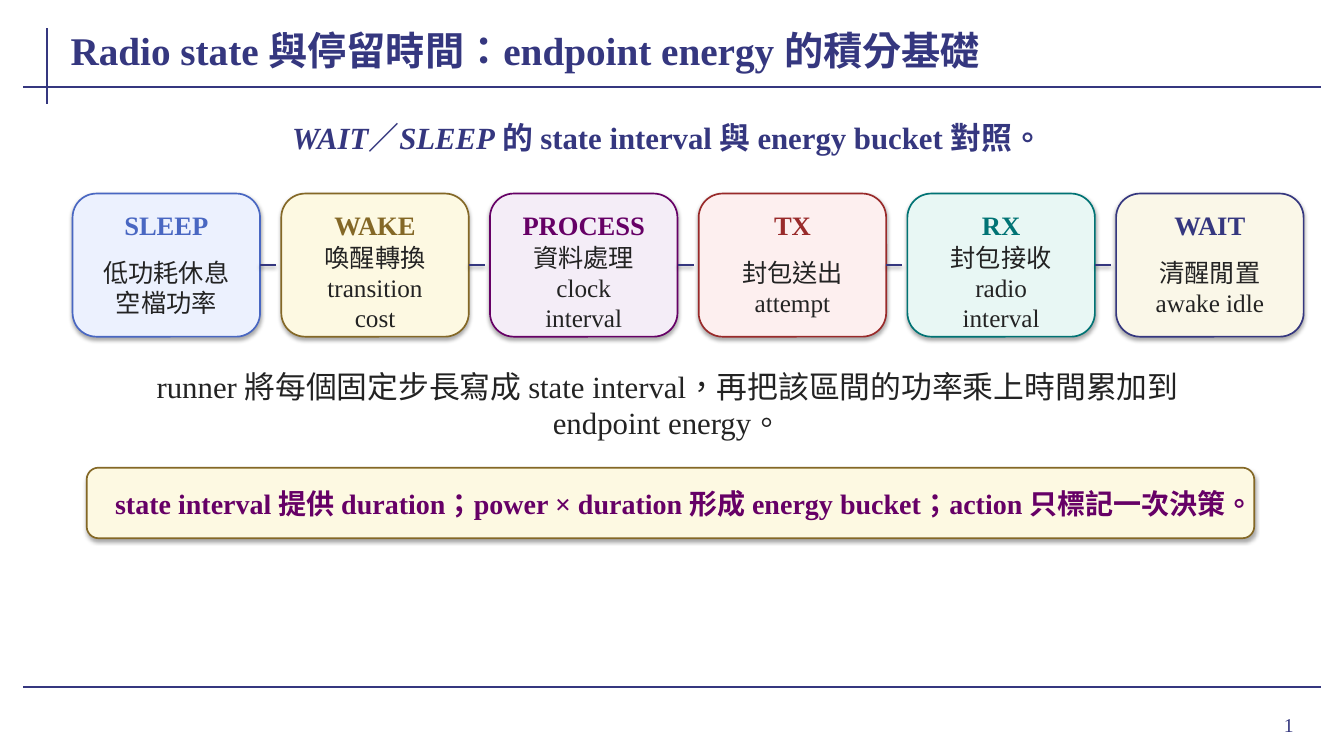
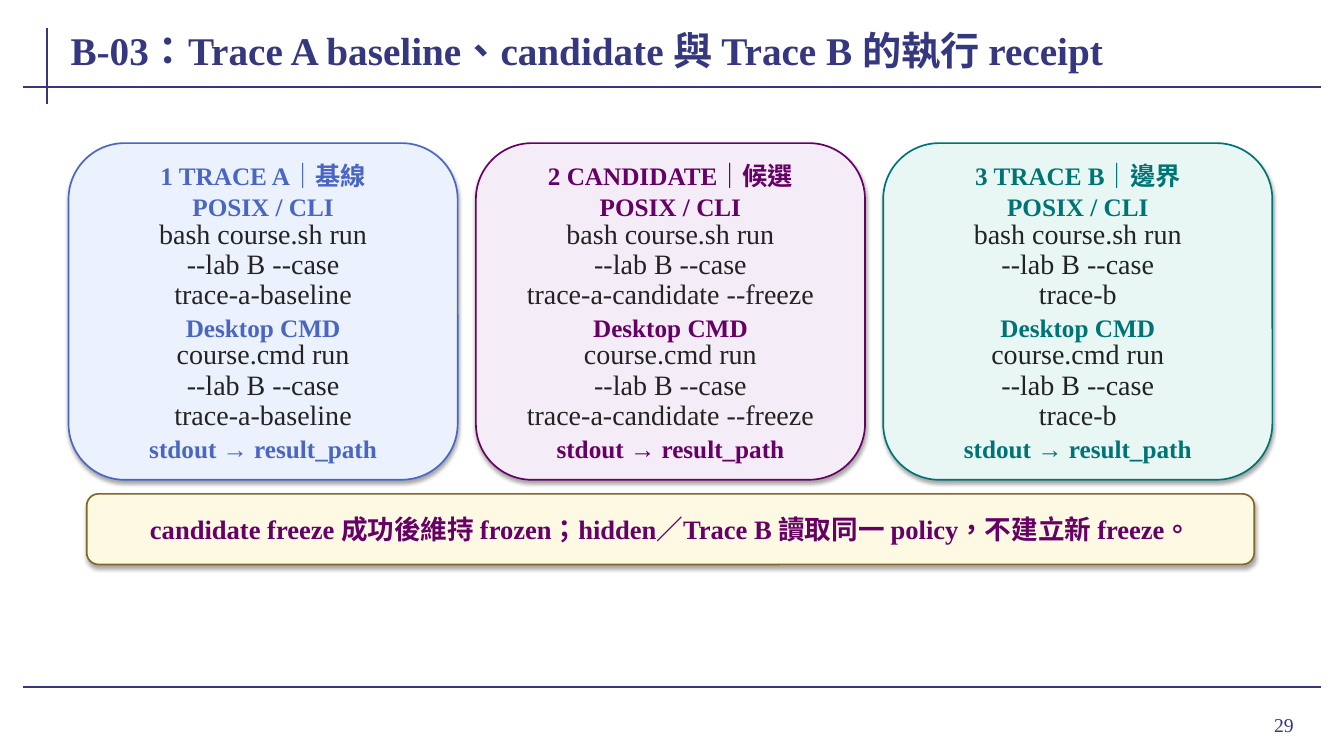
from lxml.etree import SubElement
from pptx import Presentation
from pptx.dml.color import RGBColor
from pptx.enum.lang import MSO_LANGUAGE_ID
from pptx.enum.shapes import MSO_CONNECTOR, MSO_SHAPE
from pptx.enum.text import MSO_ANCHOR, MSO_AUTO_SIZE, PP_ALIGN
from pptx.oxml.ns import qn
from pptx.util import Inches, Pt

FONT = "Times New Roman"
NAVY = RGBColor(0x35, 0x37, 0x7F)
INK = RGBColor(0x23, 0x23, 0x23)
BLUE = RGBColor(0x49, 0x67, 0xC2)
GOLD = RGBColor(0x84, 0x68, 0x26)
PURPLE = RGBColor(0x66, 0x00, 0x66)
RED = RGBColor(0x99, 0x2A, 0x2A)
TEAL = RGBColor(0x00, 0x73, 0x74)
PALE = {
    BLUE: RGBColor(0xEC, 0xF1, 0xFE),
    GOLD: RGBColor(0xFD, 0xF9, 0xE2),
    PURPLE: RGBColor(0xF4, 0xED, 0xF7),
    RED: RGBColor(0xFD, 0xEF, 0xEF),
    TEAL: RGBColor(0xE8, 0xF7, 0xF4),
    NAVY: RGBColor(0xFA, 0xF7, 0xE8),
}
SNUG = (0.01, 0)
TIGHT = (0.02, 0)
ROOMY = (0.08, 0.04)

RULES = [(0.47, 0.28, 0.47, 1.03), (0.23, 0.86, 13.1, 0.86), (0.23, 6.82, 13.1, 6.82)]

STATE_TITLE = "Radio state 與停留時間：endpoint energy 的積分基礎"
STATE_LEAD = [("WAIT", True), ("／", False), ("SLEEP", True),
              (" 的 state interval 與 energy bucket 對照。", False)]
STATES = [
    ("SLEEP", ["低功耗休息", "空檔功率"], BLUE),
    ("WAKE", ["喚醒轉換", "transition cost"], GOLD),
    ("PROCESS", ["資料處理", "clock interval"], PURPLE),
    ("TX", ["封包送出", "attempt"], RED),
    ("RX", ["封包接收", "radio interval"], TEAL),
    ("WAIT", ["清醒閒置", "awake idle"], NAVY),
]
STATE_NOTE = "runner 將每個固定步長寫成 state interval，再把該區間的功率乘上時間累加到 endpoint energy。"
STATE_BANNER = "state interval 提供 duration；power × duration 形成 energy bucket；action 只標記一次決策。"

TRACE_TITLE = "B-03：Trace A baseline、candidate 與 Trace B 的執行 receipt"
TRACES = [
    ("1 TRACE A｜基線", "trace-a-baseline", BLUE),
    ("2 CANDIDATE｜候選", "trace-a-candidate --freeze", PURPLE),
    ("3 TRACE B｜邊界", "trace-b", TEAL),
]
SHELLS = [("POSIX / CLI", "bash course.sh run"), ("Desktop CMD", "course.cmd run")]
TRACE_OPTIONS = "--lab B --case"
TRACE_RESULT = "stdout → result_path"
TRACE_BANNER = "candidate freeze 成功後維持 frozen；hidden／Trace B 讀取同一 policy，不建立新 freeze。"


def style(para, size, color, bold=False, align=PP_ALIGN.CENTER):
    para.alignment = align
    font = para.font
    font.name, font.size, font.bold = FONT, Pt(size), bold
    font.color.rgb = color
    font.language_id = MSO_LANGUAGE_ID.TRADITIONAL_CHINESE


def set_frame(frame, insets, auto_size):
    frame.word_wrap = True
    frame.auto_size = auto_size
    frame.vertical_anchor = MSO_ANCHOR.MIDDLE
    frame.margin_left = frame.margin_right = Inches(insets[0])
    frame.margin_top = frame.margin_bottom = Inches(insets[1])


def add_text(page, lines, place, size, color, bold=False, insets=SNUG, align=PP_ALIGN.CENTER):
    box = page.shapes.add_textbox(*map(Inches, place))
    frame = box.text_frame
    set_frame(frame, insets, MSO_AUTO_SIZE.SHAPE_TO_FIT_TEXT)
    frame.text = "\n".join(lines)
    for para in frame.paragraphs:
        style(para, size, color, bold, align)
    return box


def set_shadow(shape, alpha=0, distance=0):
    effects = SubElement(shape.element.spPr, qn("a:effectLst"))
    if alpha:
        shadow = SubElement(effects, qn("a:outerShdw"), blurRad=str(Pt(3.1)),
                            dist=str(Pt(distance)), dir="5400000", rotWithShape="0")
        black = SubElement(shadow, qn("a:srgbClr"), val="000000")
        SubElement(black, qn("a:alpha"), val=str(alpha * 1000))


def add_line(page, ends, width):
    line = page.shapes.add_connector(MSO_CONNECTOR.STRAIGHT, *map(Inches, ends))
    line.line.color.rgb = NAVY
    line.line.width = Pt(width)
    return line


def add_card(page, place, color):
    card = page.shapes.add_shape(MSO_SHAPE.ROUNDED_RECTANGLE, *map(Inches, place))
    card.fill.solid()
    card.fill.fore_color.rgb = PALE[color]
    card.line.color.rgb = color
    card.line.width = Pt(1.2)
    set_shadow(card, 35, 1.8)


def add_banner(page, text, top, size):
    add_card(page, (0.86, top, 11.58, 0.7), GOLD)
    add_text(page, [text], (1.04, top + 0.07, 11.22, 0.56), size, PURPLE, True, TIGHT)


def start_page(deck, title, number):
    page = deck.slides.add_slide(deck.slide_layouts[5])
    for ends in RULES:
        set_shadow(add_line(page, ends, 1.5))
    add_text(page, [str(number)], (11.96, 6.93, 0.97, 0.52), 14, NAVY,
             insets=(0.1, 0.05), align=PP_ALIGN.RIGHT)
    heading = page.shapes.title
    heading.left, heading.top, heading.width, heading.height = map(
        Inches, (0.68, 0.18, 11.95, 0.62))
    heading.text_frame.text = title
    set_frame(heading.text_frame, TIGHT, MSO_AUTO_SIZE.NONE)
    style(heading.text_frame.paragraphs[0], 28, NAVY, True, PP_ALIGN.LEFT)
    return page


def build_states(deck):
    page = start_page(deck, STATE_TITLE, 1)
    lead = add_text(page, [""], (0.96, 1.18, 11.32, 0.36), 22, NAVY, True, ROOMY)
    for text, italic in STATE_LEAD:
        span = lead.text_frame.paragraphs[0].add_run()
        span.text = text
        span.font.italic = italic
    width, pitch, top, middle = 1.86, 2.07, 1.92, 2.63
    for index, (name, details, color) in enumerate(STATES):
        left = 0.72 + index * pitch
        add_card(page, (left, top, width, 1.42), color)
        add_text(page, [name], (left + 0.18, top + 0.16, 1.5, 0.3), 19, color, True)
        add_text(page, details, (left + 0.2, top + 0.58, 1.46, 0.7), 18, INK, insets=ROOMY)
        if index < len(STATES) - 1:
            right = left + width
            link = add_line(page, (right, middle, right + 0.16, middle), 1.4)
            set_shadow(link, 38, 1.6)
    add_text(page, [STATE_NOTE], (1.04, 3.66, 11.16, 0.7), 22, INK, insets=ROOMY)
    add_banner(page, STATE_BANNER, 4.64, 20)


def build_traces(deck):
    page = start_page(deck, TRACE_TITLE, 29)
    for index, (name, case, color) in enumerate(TRACES):
        left = 0.68 + index * 4.04
        add_card(page, (left, 1.42, 3.86, 3.34), color)
        add_text(page, [name], (left + 0.12, 1.6, 3.62, 0.28), 18, color, True)
        for block, (shell, command) in enumerate(SHELLS):
            top = 1.94 + block * 1.2
            add_text(page, [shell], (left + 0.16, top, 3.54, 0.22), 18, color, True)
            for row, text in enumerate((command, TRACE_OPTIONS, case)):
                place = (left + 0.16, top + 0.24 + row * 0.3, 3.54, 0.26)
                add_text(page, [text], place, 20, INK)
        add_text(page, [TRACE_RESULT], (left + 0.18, 4.32, 3.5, 0.26), 18, color, True)
    add_banner(page, TRACE_BANNER, 4.9, 19)


def main():
    deck = Presentation()
    deck.slide_width, deck.slide_height = Inches(13.33), Inches(7.5)
    build_states(deck)
    build_traces(deck)
    deck.save("out.pptx")


if __name__ == "__main__":
    main()
